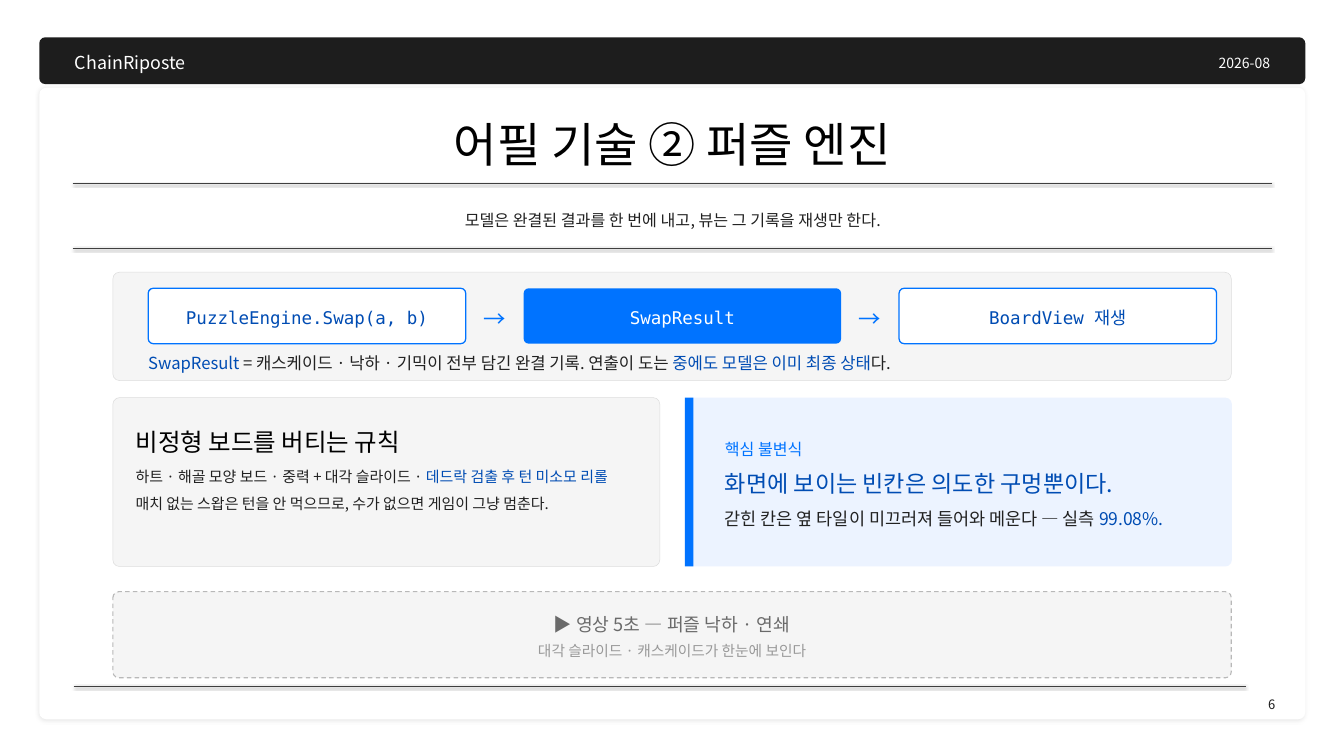
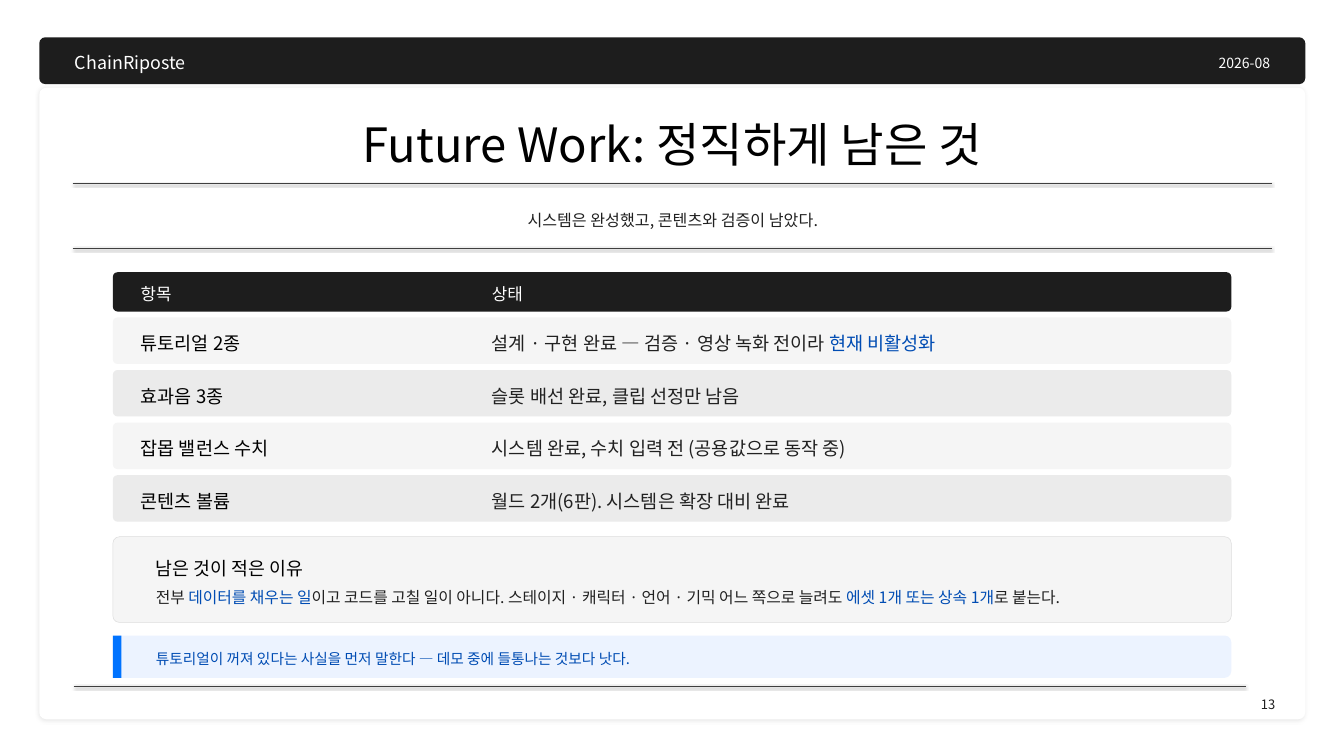
from lxml.etree import SubElement
from pptx import Presentation
from pptx.dml.color import RGBColor
from pptx.enum.dml import MSO_LINE
from pptx.enum.shapes import MSO_CONNECTOR, MSO_SHAPE
from pptx.enum.text import MSO_ANCHOR, MSO_AUTO_SIZE, PP_ALIGN
from pptx.oxml.ns import qn
from pptx.util import Cm, Pt

COLORS = {
    "white": "FFFFFF", "black": "000000", "band": "1D1D1D", "body": "212121",
    "rule": "3F3F3F", "panel": "F5F5F5", "stripe": "EBEBEB", "border": "DDDDDD",
    "accent": "0073FF", "strong": "004CB3", "tint": "ECF3FF",
    "dash": "B8B8B8", "media": "6A6A6A", "muted": "999999",
}
SANS = "Noto Sans CJK KR"
MONO = "DejaVu Sans Mono"
LEFT, CENTER, RIGHT = PP_ALIGN.LEFT, PP_ALIGN.CENTER, PP_ALIGN.RIGHT
TOP, MIDDLE = MSO_ANCHOR.TOP, MSO_ANCHOR.MIDDLE

CONTENT_LEFT, CONTENT_WIDTH = 5.69, 56.36
CONTENT_TOP = 13.72
ACCENT_WIDTH = 0.43


def add_panel(slide, box, fill, line=None, line_width=0.75, radius=0.33):
    """Add a filled panel; box and corner radius are in centimetres."""
    kind = MSO_SHAPE.ROUNDED_RECTANGLE if radius else MSO_SHAPE.RECTANGLE
    shape = slide.shapes.add_shape(kind, *map(Cm, box))
    if radius:
        shape.adjustments[0] = radius / min(box[2:])
    shape.shadow.inherit = False
    shape.fill.solid()
    shape.fill.fore_color.rgb = RGBColor.from_string(COLORS[fill])
    if line:
        shape.line.color.rgb = RGBColor.from_string(COLORS[line])
        shape.line.width = Pt(line_width)
    else:
        shape.line.fill.background()
    return shape


def write(shape, paragraphs, align=LEFT, anchor=TOP, spacing=1.22, space_after=0,
          font=SANS, margin=0, grow=True):
    """Fill a shape with (size, space before, [(text, color), ...]) paragraphs."""
    frame = shape.text_frame
    frame.word_wrap = True
    frame.auto_size = MSO_AUTO_SIZE.SHAPE_TO_FIT_TEXT if grow else MSO_AUTO_SIZE.NONE
    frame.vertical_anchor = anchor
    frame.margin_left = frame.margin_right = Cm(margin)
    frame.margin_top = frame.margin_bottom = 0
    for index, (size, space_before, runs) in enumerate(paragraphs):
        paragraph = frame.add_paragraph() if index else frame.paragraphs[0]
        paragraph.alignment = align
        paragraph.line_spacing = spacing
        paragraph.space_before = Pt(space_before)
        paragraph.space_after = Pt(space_after)
        for text, color in runs:
            run = paragraph.add_run()
            run.text = text
            run.font.size = Pt(size)
            run.font.color.rgb = RGBColor.from_string(COLORS[color])
            run.font.name = font
            SubElement(run.font._element, qn("a:ea"), typeface=font)


presentation = Presentation()
presentation.slide_width = Cm(67.73)
presentation.slide_height = Cm(38.1)

# Shared frame: card, top band, title, subtitle, rules, page number
slides = []
for page, title_text, subtitle in [
    ("6", "어필 기술 ② 퍼즐 엔진", "모델은 완결된 결과를 한 번에 내고, 뷰는 그 기록을 재생만 한다."),
    ("13", "Future Work: 정직하게 남은 것", "시스템은 완성했고, 콘텐츠와 검증이 남았다."),
]:
    slide = presentation.slides.add_slide(presentation.slide_layouts[5])
    slides.append(slide)
    card = add_panel(slide, (1.98, 4.42, 63.8, 31.83), "white", radius=0.35)
    add_panel(slide, (1.98, 1.88, 63.8, 2.36), "band", radius=0.3)

    title = slide.shapes.title
    title.left, title.top, title.width, title.height = map(Cm, (10.69, 5.23, 46.36, 3.43))
    write(title, [(67.5, 0, [(title_text, "black")])], CENTER, MIDDLE)
    title._element.getparent().append(title._element)  # bring in front of the card

    for box, text, size, color, align, anchor in [
        ((3.78, 2.39, 15.24, 1.4), "ChainRiposte", 25.5, "white", LEFT, TOP),
        ((48.01, 2.54, 16, 1.14), "2026-08", 20, "white", RIGHT, TOP),
        ((6.6, 10.21, 54.61, 1.57), subtitle, 23, "body", CENTER, MIDDLE),
        ((49.28, 34.93, 14.99, 1.14), page, 18.5, "band", RIGHT, TOP),
    ]:
        label = slide.shapes.add_textbox(*map(Cm, box))
        write(label, [(size, 0, [(text, color)])], align, anchor)

    shadows = [(card, 9, 6, 2)]
    for start, end, top, width in [
        (3.66, 64.08, 9.25, 1.25), (3.66, 64.08, 12.52, 1.25), (3.71, 62.79, 34.59, 1.1),
    ]:
        rule = slide.shapes.add_connector(
            MSO_CONNECTOR.STRAIGHT, Cm(start), Cm(top), Cm(end), Cm(top))
        rule.line.color.rgb = RGBColor.from_string(COLORS["rule"])
        rule.line.width = Pt(width)
        SubElement(rule._element.spPr, qn("a:effectLst"))
        shadows.append((rule, 38, 3.1, 1.6))

    for shape, opacity, blur, distance in shadows:
        effects = shape._element.spPr.find(qn("a:effectLst"))
        shadow = SubElement(effects, qn("a:outerShdw"), blurRad=str(Pt(blur)),
                            dist=str(Pt(distance)), dir="5400000",
                            algn="t", rotWithShape="0")
        shadow_color = SubElement(shadow, qn("a:srgbClr"), val=COLORS["black"])
        SubElement(shadow_color, qn("a:alpha"), val=str(opacity * 1000))

engine_slide, future_slide = slides

# Puzzle engine: flow from call to replay
add_panel(engine_slide, (CONTENT_LEFT, CONTENT_TOP, CONTENT_WIDTH, 5.46), "panel", "border")
NODE_LEFT, NODE_TOP, NODE_WIDTH, NODE_HEIGHT, ARROW_WIDTH = 7.47, 14.53, 16, 2.79, 2.92
for index, (text, fill, line, color) in enumerate([
    ("PuzzleEngine.Swap(a, b)", "white", "accent", "strong"),
    ("SwapResult", "accent", None, "white"),
    ("BoardView 재생", "white", "accent", "strong"),
]):
    left = NODE_LEFT + index * (NODE_WIDTH + ARROW_WIDTH)
    if index:
        arrow = engine_slide.shapes.add_textbox(
            *map(Cm, (left - ARROW_WIDTH, NODE_TOP, ARROW_WIDTH, NODE_HEIGHT)))
        write(arrow, [(32, 0, [("→", "accent")])], CENTER, MIDDLE)
    node = add_panel(engine_slide, (left, NODE_TOP, NODE_WIDTH, NODE_HEIGHT),
                     fill, line, 1.8, 0.25)
    write(node, [(25, 0, [(text, color)])], CENTER, MIDDLE, 1.15,
          font=MONO, margin=0.46, grow=False)

caption = engine_slide.shapes.add_textbox(*map(Cm, (NODE_LEFT, 17.58, 52.81, 1.27)))
write(caption, [(23.8, 0, [
    ("SwapResult", "strong"),
    (" = 캐스케이드 · 낙하 · 기믹이 전부 담긴 완결 기록. 연출이 도는 ", "body"),
    ("중에도 모델은 이미 최종 상태", "strong"),
    ("다.", "body"),
])])

# Puzzle engine: board rules and core invariant
CARD_TOP, CARD_WIDTH, CARD_HEIGHT = 20.04, 27.56, 8.51
INVARIANT_LEFT = 34.52
add_panel(engine_slide, (CONTENT_LEFT, CARD_TOP, CARD_WIDTH, CARD_HEIGHT), "panel", "border")
heading = engine_slide.shapes.add_textbox(*map(Cm, (6.83, 21.18, 25.27, 1.83)))
write(heading, [(35, 0, [("비정형 보드를 버티는 규칙", "black")])])
rules = engine_slide.shapes.add_textbox(*map(Cm, (6.83, 23.27, 25.27, 4.14)))
write(rules, [
    (21.4, 0, [("하트 · 해골 모양 보드 · 중력 + 대각 슬라이드 · ", "body"),
               ("데드락 검출 후 턴 미소모 리롤", "strong")]),
    (21.4, 0, [("매치 없는 스왑은 턴을 안 먹으므로, 수가 없으면 게임이 그냥 멈춘다.", "body")]),
], spacing=1.3, space_after=6)

add_panel(engine_slide, (INVARIANT_LEFT, CARD_TOP, CARD_WIDTH, CARD_HEIGHT), "tint")
add_panel(engine_slide, (INVARIANT_LEFT, CARD_TOP, ACCENT_WIDTH, CARD_HEIGHT),
          "accent", radius=0)
invariant = engine_slide.shapes.add_textbox(*map(Cm, (36.53, 21.06, 23.6, 6.48)))
write(invariant, [
    (23, 0, [("핵심 불변식", "accent")]),
    (33, 6, [("화면에 보이는 빈칸은 의도한 구멍뿐이다.", "strong")]),
    (25, 10, [("갇힌 칸은 옆 타일이 미끄러져 들어와 메운다 — 실측 ", "body"),
              ("99.08%.", "strong")]),
], anchor=MIDDLE)

# Puzzle engine: video slot
video = add_panel(engine_slide, (CONTENT_LEFT, 29.82, CONTENT_WIDTH, 4.34),
                  "panel", "dash", 1.6, 0.3)
video.line.dash_style = MSO_LINE.DASH
write(video, [
    (26, 0, [("▶ 영상 5초 — 퍼즐 낙하 · 연쇄", "media")]),
    (21, 7, [("대각 슬라이드 · 캐스케이드가 한눈에 보인다", "muted")]),
], CENTER, MIDDLE, 1.15, margin=0.46, grow=False)

# Future work: status rows
HEADER_HEIGHT, ROW_TOP, ROW_HEIGHT, ROW_STEP, ROW_INSET = 1.98, 16, 2.34, 2.65, 0.15
status_rows = [(CONTENT_TOP, HEADER_HEIGHT, 0, 24, "band", "white",
                "항목", [("상태", "white")])]
for index, (item, status) in enumerate([
    ("튜토리얼 2종", [("설계 · 구현 완료 — 검증 · 영상 녹화 전이라 ", "body"),
                 ("현재 비활성화", "strong")]),
    ("효과음 3종", [("슬롯 배선 완료, 클립 선정만 남음", "body")]),
    ("잡몹 밸런스 수치", [("시스템 완료, 수치 입력 전 (공용값으로 동작 중)", "body")]),
    ("콘텐츠 볼륨", [("월드 2개(6판). 시스템은 확장 대비 완료", "body")]),
]):
    status_rows.append((ROW_TOP + index * ROW_STEP, ROW_HEIGHT, ROW_INSET, 26.5,
                        "stripe" if index % 2 else "panel", "black", item, status))

for top, height, inset, size, fill, item_color, item, status in status_rows:
    add_panel(future_slide, (CONTENT_LEFT, top, CONTENT_WIDTH, height), fill, radius=0.23)
    for left, width, runs in [(7.09, 15.16, [(item, item_color)]), (24.79, 36.12, status)]:
        cell = future_slide.shapes.add_textbox(
            *map(Cm, (left, top + inset, width, height - 2 * inset)))
        write(cell, [(size, 0, runs)], anchor=MIDDLE)

# Future work: reason and closing note
NOTE_TOP, NOTE_HEIGHT = 32.03, 2.13
add_panel(future_slide, (CONTENT_LEFT, 27.05, CONTENT_WIDTH, 4.32), "panel", "border")
reason = future_slide.shapes.add_textbox(*map(Cm, (7.85, 27.46, 52.04, 3.51)))
write(reason, [
    (26.2, 0, [("남은 것이 적은 이유", "black")]),
    (22.6, 6.3, [
        ("전부 ", "body"),
        ("데이터를 채우는 일", "strong"),
        ("이고 코드를 고칠 일이 아니다. 스테이지 · 캐릭터 · 언어 · 기믹 어느 쪽으로 늘려도 ", "body"),
        ("에셋 1개 또는 상속 1개", "strong"),
        ("로 붙는다.", "body"),
    ]),
], anchor=MIDDLE)

add_panel(future_slide, (CONTENT_LEFT, NOTE_TOP, CONTENT_WIDTH, NOTE_HEIGHT), "tint")
add_panel(future_slide, (CONTENT_LEFT, NOTE_TOP, ACCENT_WIDTH, NOTE_HEIGHT),
          "accent", radius=0)
note = future_slide.shapes.add_textbox(*map(Cm, (7.85, 32.59, 52.04, 1.02)))
write(note, [(21, 0, [
    ("튜토리얼이 꺼져 있다는 사실을 먼저 말한다 — 데모 중에 들통나는 것보다 낫다.", "strong"),
])], anchor=MIDDLE)

presentation.save("out.pptx")
